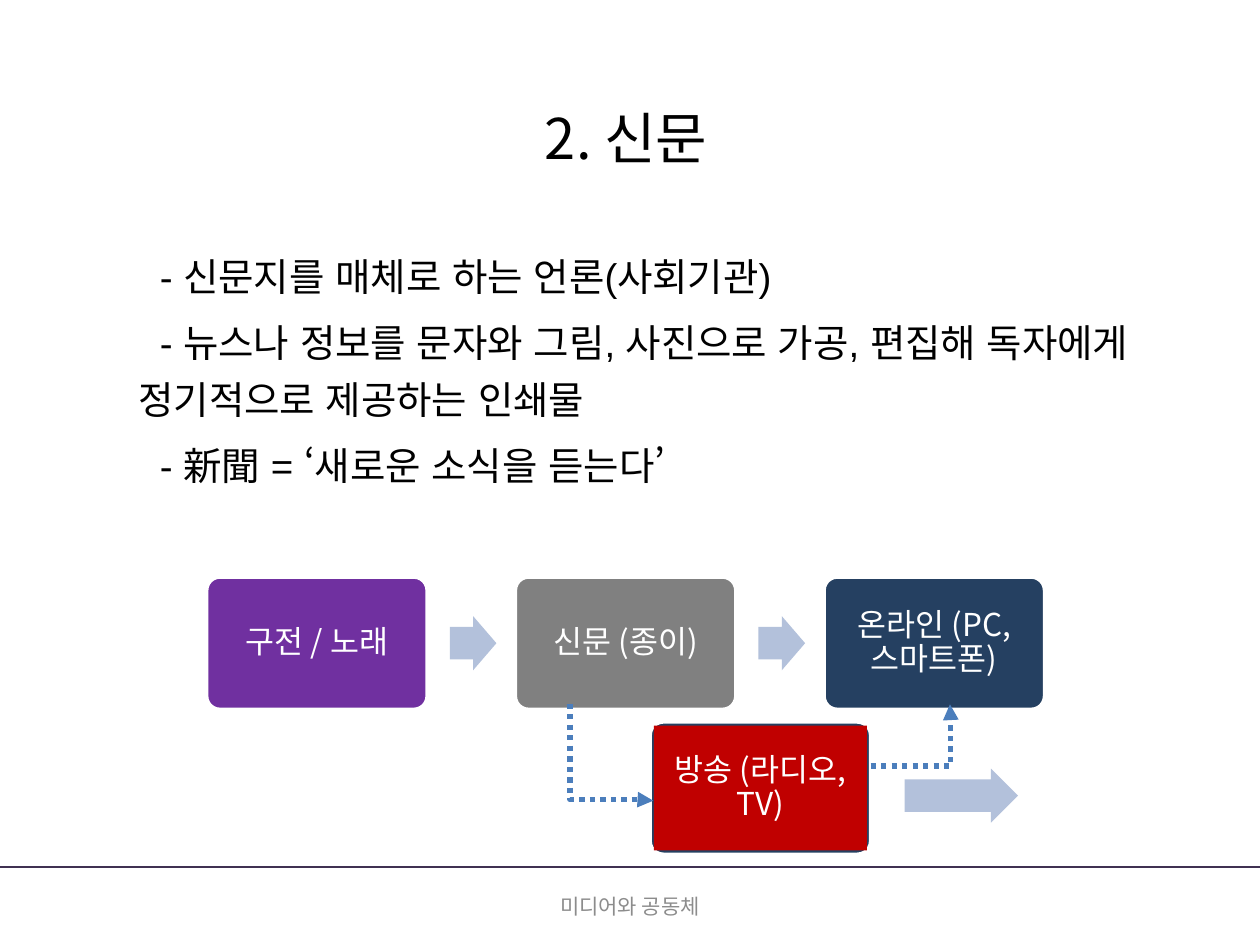
from lxml.etree import SubElement
from pptx import Presentation
from pptx.dml.color import RGBColor
from pptx.enum.dml import MSO_LINE
from pptx.enum.lang import MSO_LANGUAGE_ID
from pptx.enum.shapes import MSO_CONNECTOR, MSO_SHAPE
from pptx.enum.text import MSO_ANCHOR, PP_ALIGN
from pptx.oxml.ns import qn
from pptx.util import Inches, Pt

COLORS = {
    "text": "000000", "white": "FFFFFF", "footer": "8C8C8C", "rule": "403152",
    "oral": "7030A0", "paper": "808080", "online": "254061", "broadcast": "C00000",
    "arrow": "B3C1DB", "link": "4B7EBC",
}
KOREAN_FONT = "Noto Sans CJK KR"

presentation = Presentation()
presentation.slide_width = Inches(10)
presentation.slide_height = Inches(7.5)
slide = presentation.slides.add_slide(presentation.slide_layouts[6])
shapes = slide.shapes


def write(shape, lines, size, color, font=KOREAN_FONT, align=PP_ALIGN.CENTER, anchor=MSO_ANCHOR.MIDDLE):
    frame = shape.text_frame
    frame.word_wrap = True
    frame.vertical_anchor = anchor
    frame.text = "\n".join(lines)
    for paragraph in frame.paragraphs:
        paragraph.alignment = align
        for run in paragraph.runs:
            run.font.name = font
            run.font.size = Pt(size)
            run.font.color.rgb = RGBColor.from_string(COLORS[color])
            SubElement(run.font._element, qn("a:ea")).set("typeface", KOREAN_FONT)
    return frame


def add_block(kind, left, top, width, height, fill, adjustments=(), outline=None):
    shape = shapes.add_shape(kind, Inches(left), Inches(top), Inches(width), Inches(height))
    shape.shadow.inherit = False
    shape.fill.solid()
    shape.fill.fore_color.rgb = RGBColor.from_string(COLORS[fill])
    if outline:
        shape.line.color.rgb = RGBColor.from_string(COLORS[outline])
        shape.line.width = Pt(2)
    else:
        shape.line.fill.background()
    for index, value in enumerate(adjustments):
        shape.adjustments[index] = value
    return shape


footer_top = 6.88
rule = shapes.add_connector(MSO_CONNECTOR.STRAIGHT, 0, Inches(footer_top), Inches(10), Inches(footer_top))
rule.line.color.rgb = RGBColor.from_string(COLORS["rule"])
rule.line.width = Pt(0.75)
SubElement(rule._element.spPr, qn("a:effectLst"))

title = shapes.add_textbox(Inches(0.47), Inches(0.62), Inches(9), Inches(0.94))
write(title, ["2. 신문"], 32, "text")

body = shapes.add_textbox(Inches(1), Inches(1.87), Inches(8.31), Inches(2.5))
body_lines = [
    "- 신문지를 매체로 하는 언론(사회기관)",
    "- 뉴스나 정보를 문자와 그림, 사진으로 가공, 편집해 독자에게 정기적으로 제공하는 인쇄물",
    "- 新聞 = ‘새로운 소식을 듣는다’",
]
body_frame = write(body, body_lines, 22, "text", "Arial", PP_ALIGN.LEFT, MSO_ANCHOR.TOP)
for index, paragraph in enumerate(body_frame.paragraphs):
    paragraph.line_spacing = 1.25
    paragraph.space_before = Pt(4.4 if index else 0)
    paragraph._p.get_or_add_pPr().set("indent", str(Inches(0.17)))
    for run in paragraph.runs:
        run.font.language_id = MSO_LANGUAGE_ID.KOREAN

footer = shapes.add_textbox(0, Inches(footer_top), Inches(10), Inches(0.62))
write(footer, ["미디어와 공동체"], 12, "footer")

box_width, box_height, inset = 1.75, 1.05, 0.03
first_left, column, row_top = 1.64, 2.45, 4.58
lower_left, lower_top = 5.16, 5.73
stages = [("구전 / 노래", "oral"), ("신문 (종이)", "paper"), ("온라인 (PC, 스마트폰)", "online")]
labelled = []
for index, (label, fill) in enumerate(stages):
    left = first_left + index * column
    box = add_block(MSO_SHAPE.ROUNDED_RECTANGLE, left, row_top, box_width, box_height, fill, [0.1], "white")
    labelled.append((box, label, 0.1))
    if index < len(stages) - 1:
        add_block(MSO_SHAPE.RIGHT_ARROW, left + 1.93, 4.89, 0.37, 0.43, "arrow", [0.6, 0.5])

add_block(MSO_SHAPE.ROUNDED_RECTANGLE, lower_left, lower_top, box_width, box_height, "online", [0.1], "white")
broadcast = add_block(
    MSO_SHAPE.RECTANGLE, lower_left + inset, lower_top + inset,
    box_width - 2 * inset, box_height - 2 * inset, "broadcast",
)
labelled.append((broadcast, "방송 (라디오, TV)", 0.07))
for box, label, margin in labelled:
    frame = write(box, [label], 18, "white")
    frame.margin_left = frame.margin_right = Inches(margin)
    frame.margin_top = frame.margin_bottom = Inches(margin)
    frame.paragraphs[0].line_spacing = 0.9

add_block(MSO_SHAPE.RIGHT_ARROW, 7.18, 6.1, 0.9, 0.43, "arrow", [0.6, 0.5])

links = [((5.24, 5.64), (4.47, 6.3), 270, 0.99), ((6.91, 6.08), (7.54, 5.59), 0, 1.01)]
for start, end, rotation, bend in links:
    link = shapes.add_connector(MSO_CONNECTOR.ELBOW, *[Inches(value) for value in start + end])
    link.line.color.rgb = RGBColor.from_string(COLORS["link"])
    link.line.width = Pt(3)
    link.line.dash_style = MSO_LINE.ROUND_DOT
    properties = link._element.spPr
    properties.find(qn("a:xfrm")).set("rot", str(rotation * 60000))
    guide = SubElement(properties.find(qn("a:prstGeom")).find(qn("a:avLst")), qn("a:gd"))
    guide.set("name", "adj1")
    guide.set("fmla", f"val {round(bend * 100000)}")
    SubElement(properties.find(qn("a:ln")), qn("a:tailEnd")).set("type", "triangle")
    SubElement(properties, qn("a:effectLst"))

presentation.save("out.pptx")
